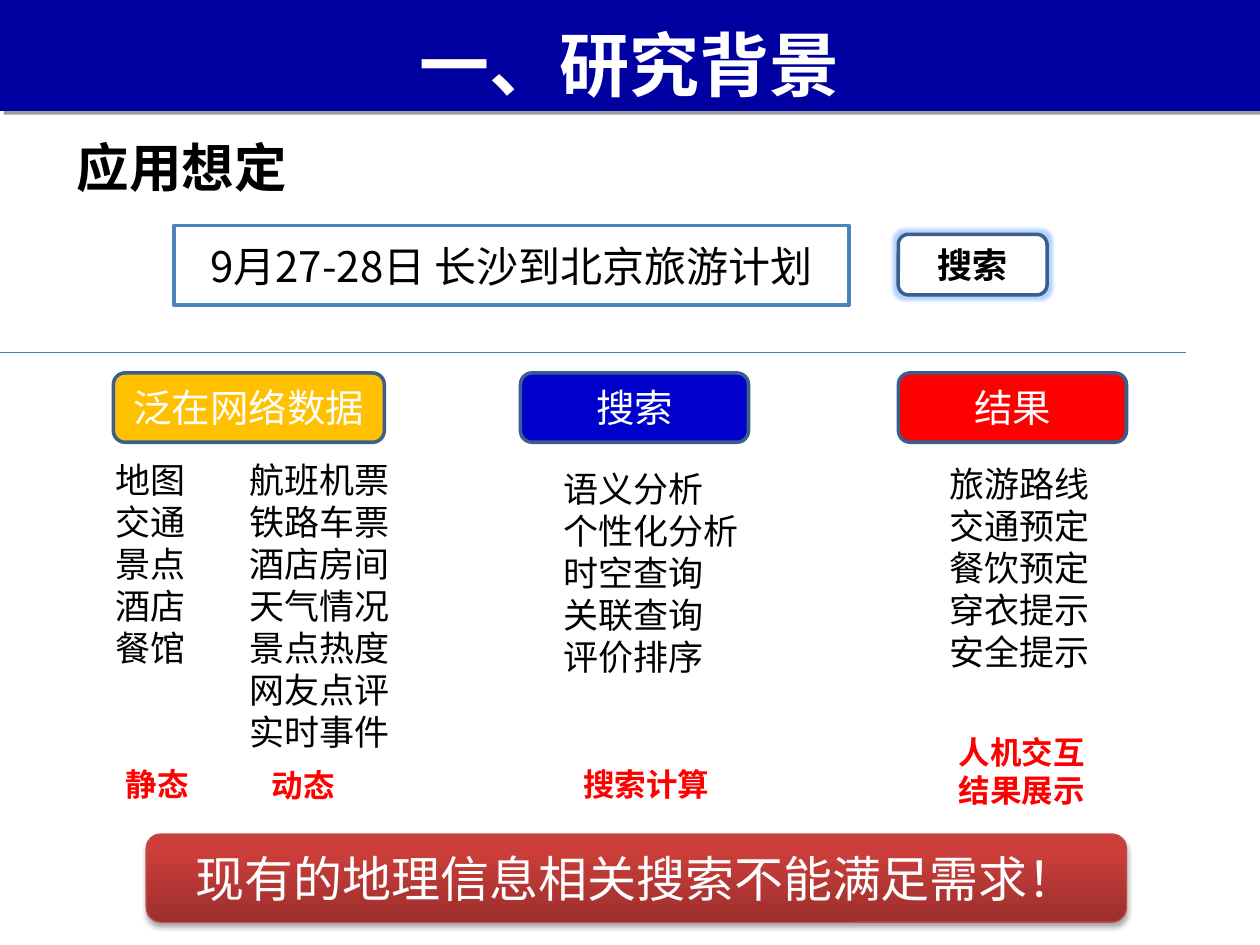
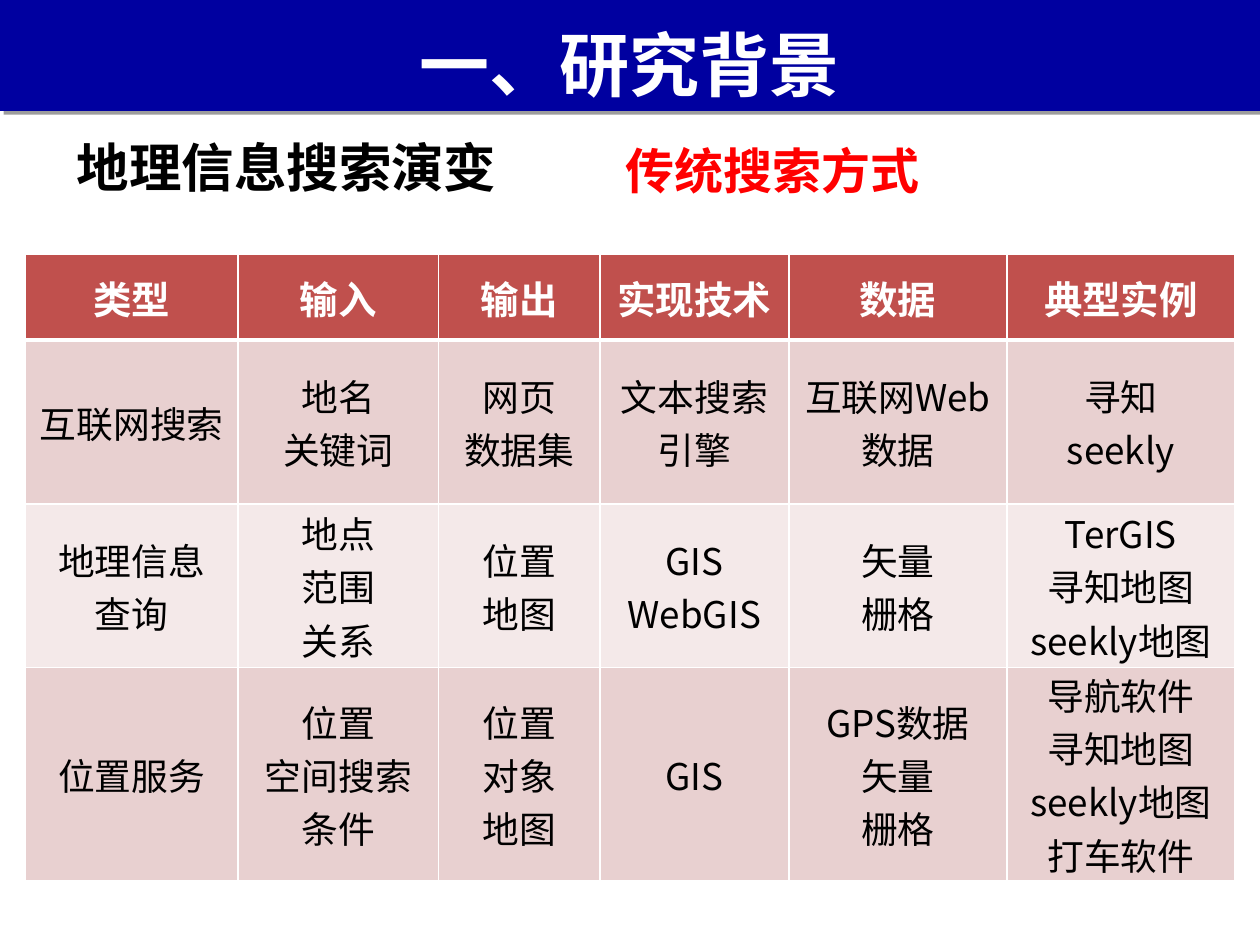
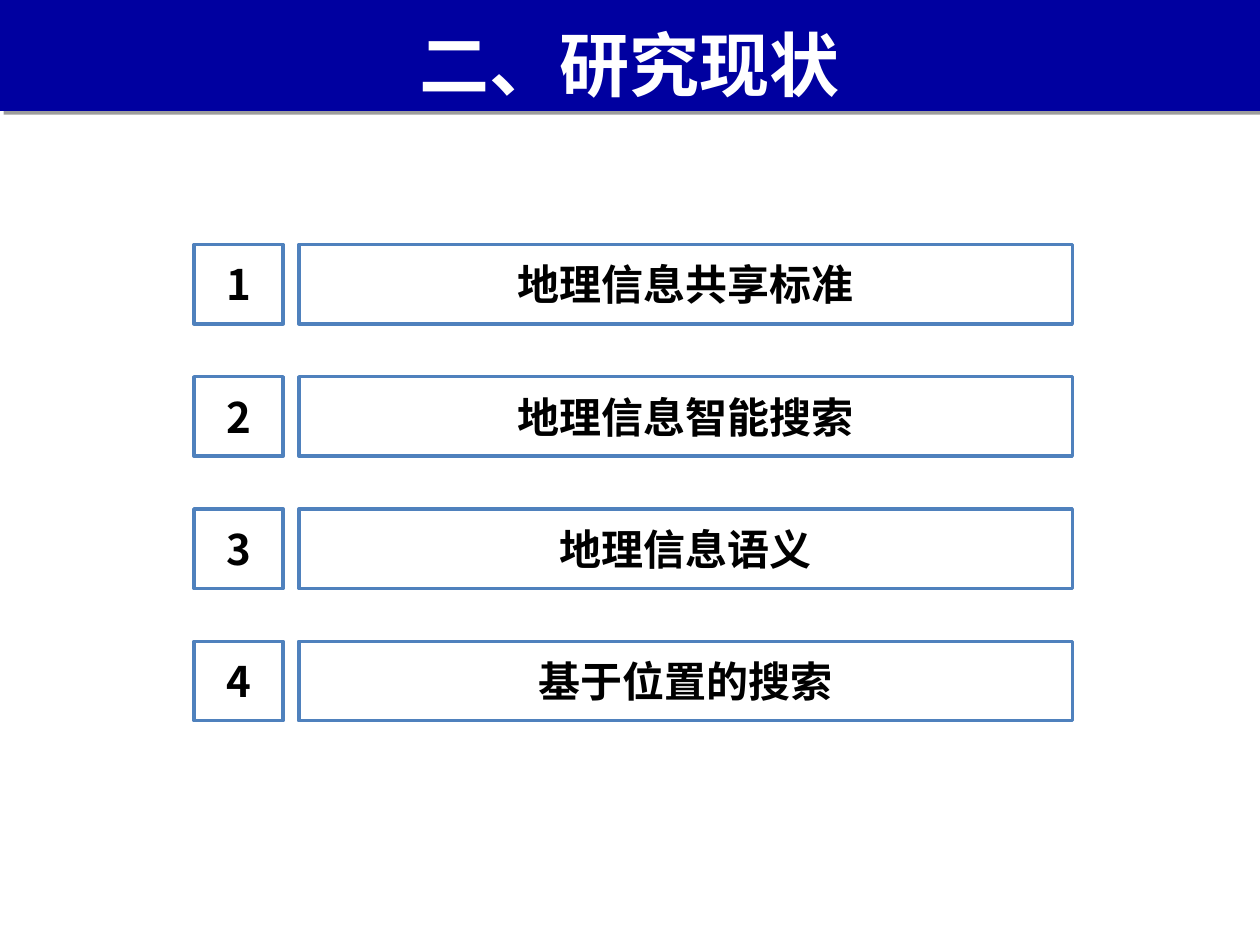
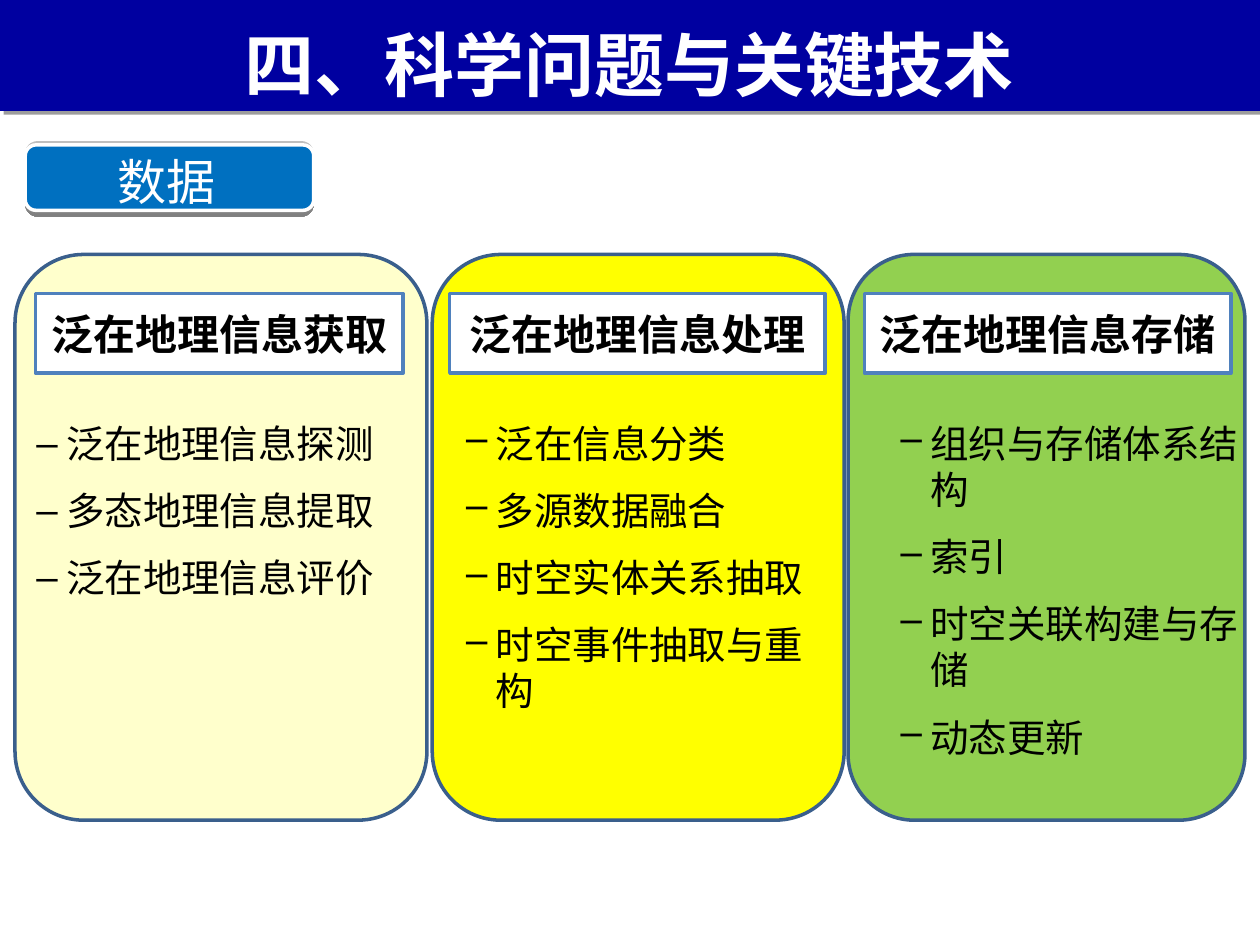
from lxml import etree
from pptx import Presentation
from pptx.dml.color import RGBColor
from pptx.enum.shapes import MSO_CONNECTOR, MSO_SHAPE
from pptx.enum.text import MSO_ANCHOR, MSO_AUTO_SIZE, PP_ALIGN
from pptx.oxml.ns import qn
from pptx.util import Pt

RECTANGLE, ROUNDED = MSO_SHAPE.RECTANGLE, MSO_SHAPE.ROUNDED_RECTANGLE
LEFT, CENTER = PP_ALIGN.LEFT, PP_ALIGN.CENTER
TOP, MIDDLE = MSO_ANCHOR.TOP, MSO_ANCHOR.MIDDLE
NO_FIT = MSO_AUTO_SIZE.NONE
STRAIGHT = MSO_CONNECTOR.STRAIGHT

FONT = "Noto Sans CJK SC"
WHITE, BLACK, RED = "FFFFFF", "000000", "FF0000"
BAND_BLUE, BOX_BLUE, EDGE_BLUE = "0000A0", "4F81BD", "3A5F8C"
HEADER_RED, ROW_DARK, ROW_LIGHT = "C0504D", "E8D0D0", "F4E9E9"
TITLE_BOX = (19.4, 9.4, 680.4, 54)
TITLE_ONLY, TITLE_AND_BODY = 5, 1

SEARCH_COLUMNS = [
    ((64.8, 213.1, 154.8, 39.6), "泛在网络数据", "FFC000",
     [(-5.8, 45.4, 96, "地图\n交通\n景点\n酒店\n餐馆"),
      (70.6, 45.4, 125, "航班机票\n铁路车票\n酒店房间\n天气情况\n景点热度\n网友点评\n实时事件")],
     [(0, 220.3, 71, "静态"), (83.5, 221, 71, "动态")]),
    ((297.4, 213.1, 130.3, 39.6), "搜索", "0000CC",
     [(17.3, 50.4, 125, "语义分析\n个性化分析\n时空查询\n关联查询\n评价排序")],
     [(28.8, 220.3, 89, "搜索计算")]),
    ((513.4, 213.1, 130.3, 39.6), "结果", RED,
     [(22.3, 47.5, 125, "旅游路线\n交通预定\n餐饮预定\n穿衣提示\n安全提示")],
     [(27.4, 202.3, 89, "人机交互\n结果展示")]),
]
COLUMN_WIDTHS = [121.7, 114.5, 92.2, 108, 124.6, 130.3]
ROW_HEIGHTS = [49, 93.6, 93.6, 121.8]
SEARCH_TYPES = [
    ["类型", "输入", "输出", "实现技术", "数据", "典型实例"],
    ["互联网搜索", "地名\n关键词", "网页\n数据集", "文本搜索引擎", "互联网Web数据", "寻知\nseekly"],
    ["地理信息\n查询", "地点\n范围\n关系", "位置\n地图", "GIS\nWebGIS", "矢量\n栅格",
     "TerGIS\n寻知地图seekly地图"],
    ["位置服务", "位置\n空间搜索条件", "位置\n对象\n地图", "GIS", "GPS数据\n矢量\n栅格",
     "导航软件\n寻知地图seekly地图\n打车软件"],
]
TOPICS = ["地理信息共享标准", "地理信息智能搜索", "地理信息语义", "基于位置的搜索"]
DATA_CARDS = [
    ((8.6, 145.4, 235.4, 323.3), "FFFFCC", (11.6, 210.2), (5, 210), "泛在地理信息获取",
     "泛在地理信息探测\n多态地理信息提取\n泛在地理信息评价"),
    ((247, 145.4, 235.4, 323.3), "FFFF00", (10, 214.6), (12.2, 214.6), "泛在地理信息处理",
     "泛在信息分类\n多源数据融合\n时空实体关系抽取\n时空事件抽取与重构"),
    ((484.6, 145.4, 226.8, 323.3), "92D050", (9.3, 209.5), (23, 212.4), "泛在地理信息存储",
     "组织与存储体系结构\n索引\n时空关联构建与存储\n动态更新"),
]


def colour(value):
    """Turn a hex string into a colour."""
    return RGBColor.from_string(value)


def points(*values):
    """Turn numbers into lengths in points."""
    return [Pt(value) for value in values]


def add_bullet(paragraph, character, hang):
    """Give a paragraph a character bullet with a hanging indent."""
    properties = paragraph._p.get_or_add_pPr()
    properties.set("marL", str(Pt(hang)))
    properties.set("indent", str(-Pt(hang)))
    etree.SubElement(properties, qn("a:buChar"), char=character)


def write(frame, text, size=20, color=BLACK, bold=False, align=LEFT, anchor=TOP,
          line=None, space=0, bullet=None):
    """Fill a text frame with one paragraph for each line of text."""
    frame.word_wrap = True
    frame.vertical_anchor = anchor
    for index, words in enumerate(text.split("\n")):
        paragraph = frame.add_paragraph() if index else frame.paragraphs[0]
        paragraph.alignment = align
        paragraph.space_before = Pt(space if index else 0)
        paragraph.space_after = Pt(space)
        if line:
            paragraph.line_spacing = Pt(round(size * line, 1))
        if bullet:
            paragraph.level = 1
            add_bullet(paragraph, bullet, 17)
        run = paragraph.add_run()
        run.text = words
        font = run.font
        font.size, font.bold, font.name = Pt(size), bold, FONT
        font.color.rgb = colour(color)


def add_text(slide, box, text, **style):
    """Add a text box."""
    frame = slide.shapes.add_textbox(*points(*box)).text_frame
    write(frame, text, **{"line": 1.2, **style})


def add_box(slide, box, kind=RECTANGLE, fill=WHITE, line=None, width=2, text="", **style):
    """Add a shape with a solid fill and optional outline and centred text."""
    shape = slide.shapes.add_shape(kind, *points(*box))
    shape.shadow.inherit = False
    shape.fill.solid()
    shape.fill.fore_color.rgb = colour(fill)
    if line:
        shape.line.color.rgb = colour(line)
        shape.line.width = Pt(width)
    else:
        shape.line.fill.background()
    if text:
        write(shape.text_frame, text, align=CENTER, anchor=MIDDLE, **style)
    return shape


def add_gradient(shape, stops, angle):
    """Fill a shape with a two-colour gradient."""
    shape.fill.gradient()
    shape.fill.gradient_angle = angle
    for stop, (position, value) in zip(shape.fill.gradient_stops, stops):
        stop.position = position
        stop.color.rgb = colour(value)


def add_effect(shape, name, color, opacity, **attributes):
    """Add a shadow or a glow to a shape."""
    effects = shape.element.spPr.find(qn("a:effectLst"))
    effect = etree.SubElement(effects, qn(f"a:{name}"), **attributes)
    value = etree.SubElement(effect, qn("a:srgbClr"), val=color)
    etree.SubElement(value, qn("a:alpha"), val=str(opacity * 1000))


def add_shadow(shape, opacity, blur, distance, angle):
    """Add an outer shadow to a shape."""
    add_effect(shape, "outerShdw", BLACK, opacity, blurRad=str(Pt(blur)),
               dist=str(Pt(distance)), dir=str(angle * 60000), rotWithShape="0")


def place(placeholder, box):
    """Move a placeholder to a box."""
    placeholder.left, placeholder.top, placeholder.width, placeholder.height = points(*box)
    placeholder.text_frame.auto_size = NO_FIT


def add_slide(presentation, title, layout=TITLE_ONLY):
    """Add a slide with the shared title style."""
    slide = presentation.slides.add_slide(presentation.slide_layouts[layout])
    place(slide.shapes.title, TITLE_BOX)
    write(slide.shapes.title.text_frame, title, size=40, color=WHITE, bold=True,
          align=CENTER, anchor=MIDDLE)
    return slide


def add_master_band(presentation, slide):
    """Draw the title band and move it to the slide master."""
    band = add_box(slide, (0, 0, 720, 63.4), fill=BAND_BLUE)
    add_shadow(band, 38, 0, 3, 45)
    presentation.slide_master.placeholders[0].element.addprevious(band.element)


def add_heading(slide, text, width):
    """Add the heading below the title band."""
    add_text(slide, (36.7, 73.4, width, 43.9), text, size=30, bold=True)


def add_search_bar(slide, box):
    """Draw the query field with its glowing button."""
    left, top, width, height = box
    add_box(slide, box, line=BOX_BLUE, text="9月27-28日 长沙到北京旅游计划", size=24)
    button = add_box(slide, (left + width + 28, top + 5, 85, height - 10.8), ROUNDED,
                     line=EDGE_BLUE, text="搜索", size=20, bold=True)
    add_effect(button, "glow", "5B9BFF", 45, rad=str(Pt(4)))


def add_divider(slide, top):
    """Draw the thin line between query and columns."""
    divider = slide.shapes.add_connector(STRAIGHT, *points(-20, top, 677.5, top))
    divider.line.color.rgb = colour("4B7EBC")
    divider.line.width = Pt(0.75)
    etree.SubElement(divider.element.spPr, qn("a:effectLst"))


def add_search_column(slide, box, heading, fill, lists, tags):
    """Draw a coloured heading with its lists and red tags below."""
    left, top = box[:2]
    add_box(slide, box, ROUNDED, fill, EDGE_BLUE, text=heading, size=22, color=WHITE)
    for across, down, width, text in lists:
        height = 24 * len(text.split("\n")) + 8
        add_text(slide, (left + across, top + down, width, height), text, size=20)
    for across, down, width, text in tags:
        height = 22 * len(text.split("\n")) + 7
        add_text(slide, (left + across, top + down, width, height), text,
                 size=18, color=RED, bold=True)


def add_banner(slide, box, text):
    """Draw the red conclusion banner."""
    banner = add_box(slide, box, ROUNDED, line="BF4C48", width=0.75, text=text,
                     size=28, color=WHITE)
    add_gradient(banner, [(0, "9C2F2D"), (0.8, "CB3E3A")], 90)
    add_shadow(banner, 35, 3.1, 1.8, 90)


def style_cell(cell, text, fill, bottom, **style):
    """Set the borders, fill and text of a table cell."""
    properties = cell._tc.get_or_add_tcPr()
    for side, width in (("lnL", 1), ("lnR", 1), ("lnT", 1), ("lnB", bottom)):
        border = etree.SubElement(properties, qn(f"a:{side}"), w=str(Pt(width)))
        solid = etree.SubElement(border, qn("a:solidFill"))
        etree.SubElement(solid, qn("a:srgbClr"), val=WHITE)
    cell.fill.solid()
    cell.fill.fore_color.rgb = colour(fill)
    cell.margin_top = cell.margin_bottom = 0
    cell.vertical_anchor = MIDDLE
    write(cell.text_frame, text, align=CENTER, anchor=MIDDLE, line=1.45, **style)


def add_type_table(slide, left, top):
    """Draw the table of search types."""
    box = points(left, top, sum(COLUMN_WIDTHS), sum(ROW_HEIGHTS))
    table = slide.shapes.add_table(len(ROW_HEIGHTS), len(COLUMN_WIDTHS), *box).table
    for column, width in zip(table.columns, COLUMN_WIDTHS):
        column.width = Pt(width)
    for index, (row, height, texts) in enumerate(zip(table.rows, ROW_HEIGHTS, SEARCH_TYPES)):
        row.height = Pt(height)
        fill = ROW_DARK if index % 2 else ROW_LIGHT
        for cell, text in zip(row.cells, texts):
            if index == 0:
                style_cell(cell, text, HEADER_RED, 3, size=22, color=WHITE, bold=True)
            else:
                style_cell(cell, text, fill, 1, size=21)


def add_topic(slide, box, number, text):
    """Draw a numbered topic row."""
    left, top, width, height = box
    style = {"line": BOX_BLUE, "size": 24, "bold": True}
    add_box(slide, (left, top, 51, height), text=str(number), **style)
    add_box(slide, (left + 60, top, width - 60, height), text=text, **style)


def add_tab(slide, box, text):
    """Draw the blue section tab on its grey base."""
    left, top, width, height = box
    base = add_box(slide, box, ROUNDED)
    add_gradient(base, [(0, "BFBFBF"), (1, "808080")], 270)
    add_box(slide, (left, top + 2.2, width, height - 5.8), ROUNDED, "0070C0", WHITE)
    add_text(slide, (left + 2.9, top + 2.2, width - 9.4, 41), text, size=28,
             color=WHITE, align=CENTER)


def add_data_card(slide, box, fill, label, points_box, heading, items, body=None):
    """Draw a card with a label and a dashed list, in the body placeholder if given."""
    left, top, width, height = box
    add_box(slide, box, ROUNDED, fill, EDGE_BLUE)
    label_shape = add_box(slide, (left + label[0], top + 22.4, label[1], 45.4),
                          line=BOX_BLUE, text=heading, size=24, bold=True)
    list_box = (left + points_box[0], top + 90.8, points_box[1], 193)
    style = {"size": 22, "line": 1.2, "space": 6, "bullet": "–"}
    if body is None:
        add_text(slide, list_box, items, **style)
    else:
        label_shape.element.addnext(body.element)
        place(body, list_box)
        write(body.text_frame, items, **style)


def build_scenario(presentation):
    """Build the slide on the intended application."""
    slide = add_slide(presentation, "一、研究背景")
    add_master_band(presentation, slide)
    add_heading(slide, "应用想定", 391)
    add_search_bar(slide, (99.4, 128.9, 385.9, 45.4))
    add_divider(slide, 201.6)
    for column in SEARCH_COLUMNS:
        add_search_column(slide, *column)
    add_banner(slide, (83.5, 476.6, 560.2, 50.4), "现有的地理信息相关搜索不能满足需求！")


def build_evolution(presentation):
    """Build the slide that compares search types."""
    slide = add_slide(presentation, "一、研究背景")
    add_heading(slide, "地理信息搜索演变", 266.4)
    add_text(slide, (350.6, 77, 230.4, 41), "传统搜索方式", size=28, color=RED, bold=True)
    add_type_table(slide, 14.4, 145.4)


def build_topics(presentation):
    """Build the slide that lists the research topics."""
    slide = add_slide(presentation, "二、研究现状")
    for index, topic in enumerate(TOPICS):
        add_topic(slide, (110.8, 139.7 + 75.6 * index, 502, 45.4), index + 1, topic)


def build_data_cards(presentation):
    """Build the slide on data problems and techniques."""
    slide = add_slide(presentation, "四、科学问题与关键技术", TITLE_AND_BODY)
    bodies = [slide.placeholders[1], None, None]
    for card, body in zip(DATA_CARDS, bodies):
        add_data_card(slide, *card, body=body)
    add_tab(slide, (14.4, 80.6, 164.9, 43.2), "数据")


def set_east_asian_fonts(presentation):
    """Use the text font for Chinese characters too."""
    for slide in presentation.slides:
        for latin in list(slide.element.iter(qn("a:latin"))):
            east_asian = etree.Element(qn("a:ea"), typeface=FONT)
            latin.addnext(east_asian)


def main():
    """Build and save the presentation."""
    presentation = Presentation()
    presentation.slide_width, presentation.slide_height = points(720, 540)
    build_scenario(presentation)
    build_evolution(presentation)
    build_topics(presentation)
    build_data_cards(presentation)
    set_east_asian_fonts(presentation)
    presentation.save("out.pptx")


if __name__ == "__main__":
    main()
